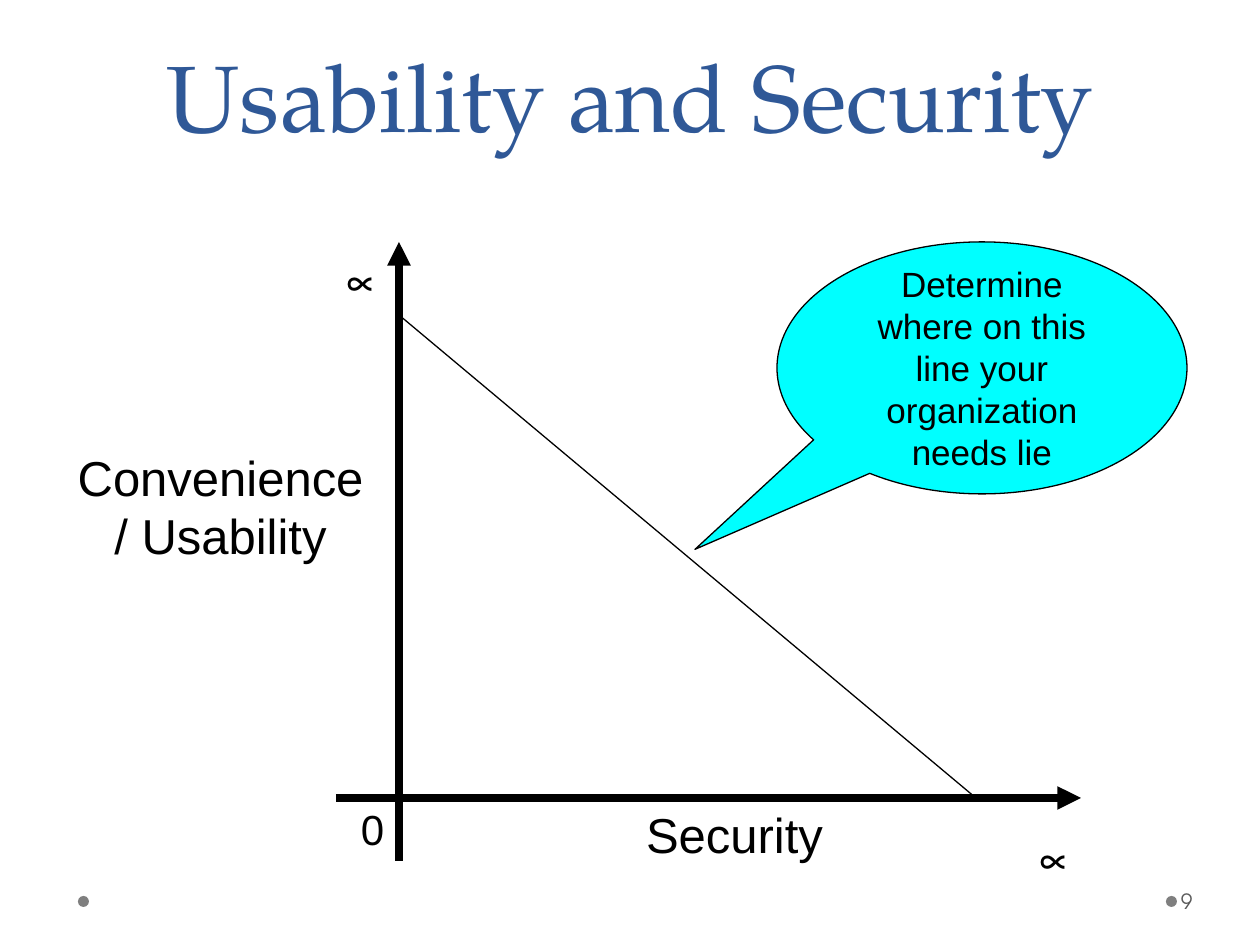
"""Build the Usability and Security trade-off slide."""
from lxml import etree
from pptx import Presentation
from pptx.dml.color import RGBColor
from pptx.enum.shapes import MSO_CONNECTOR, MSO_SHAPE
from pptx.enum.text import MSO_ANCHOR, PP_ALIGN
from pptx.oxml.ns import qn
from pptx.util import Emu, Pt

STRAIGHT = MSO_CONNECTOR.STRAIGHT
OVAL, CALLOUT = MSO_SHAPE.OVAL, MSO_SHAPE.OVAL_CALLOUT
TOP, MIDDLE, BOTTOM = MSO_ANCHOR.TOP, MSO_ANCHOR.MIDDLE, MSO_ANCHOR.BOTTOM
LEFT, CENTER = PP_ALIGN.LEFT, PP_ALIGN.CENTER

EMU_PER_PX = 914400 / 126
BLACK, GRAY, CYAN = "000000", "7F7F7F", "00FFFF"

ORIGIN = (399, 798)
DOTS = [(78, 896), (1166, 896)]
DOT_SIZE = 11
AXES = [
    ((ORIGIN[0], 861), (ORIGIN[0], 242)),
    ((336, ORIGIN[1]), (1081, ORIGIN[1])),
]
TRADE_OFF = ((ORIGIN[0], 315), (976, ORIGIN[1]))
LABELS = [
    ("Usability and Security", (63, -63, 1134, 220),
     dict(size=54, font="TeX Gyre Pagella", color="2F5897", anchor=BOTTOM, spacing=58)),
    ("9", (1177, 876, 77, 50),
     dict(size=12, font="TeX Gyre Adventor", color="595959", anchor=MIDDLE,
          align=LEFT, left_inset=4)),
    ("∝", (1018, 819, 94, 72), dict(align=LEFT)),
    ("∝", (325, 242, 94, 72), dict(align=LEFT)),
    ("Security", (514, 798, 441, 72), {}),
    ("Convenience / Usability", (63, 441, 315, 131), {}),
    ("0", (336, 798, 73, 63), dict(size=24)),
]
ADVICE = "Determine where on this line your organization needs lie"
ADVICE_BOX = (777, 242, 410, 252)
ADVICE_POINTER = (-0.7, 0.72)


def px(*lengths):
    return [Emu(round(length * EMU_PER_PX)) for length in lengths]


def rgb(color):
    return RGBColor.from_string(color)


def write(shape, text, size=28, font="Arial", color=BLACK, align=CENTER,
          anchor=TOP, spacing=None, left_inset=13):
    frame = shape.text_frame
    frame.word_wrap = True
    frame.vertical_anchor = anchor
    frame.margin_left, frame.margin_right = px(left_inset, 13)
    frame.margin_top, frame.margin_bottom = px(6, 6)
    paragraph = frame.paragraphs[0]
    paragraph.alignment = align
    if spacing:
        paragraph.line_spacing = Pt(spacing)
    run = paragraph.add_run()
    run.text = text
    run.font.size = Pt(size)
    run.font.name = font
    run.font.color.rgb = rgb(color)


def add_filled(slide, preset, box, fill, outline=None):
    shape = slide.shapes.add_shape(preset, *px(*box))
    shape.shadow.inherit = False
    shape.fill.solid()
    shape.fill.fore_color.rgb = rgb(fill)
    if outline:
        shape.line.color.rgb = rgb(outline)
        shape.line.width = Pt(0.75)
    else:
        shape.line.fill.background()
    return shape


def add_line(slide, start, end, width, arrow=False):
    connector = slide.shapes.add_connector(STRAIGHT, *px(*start, *end))
    connector.line.color.rgb = rgb(BLACK)
    connector.line.width = Pt(width)
    if arrow:
        outline = connector.line._get_or_add_ln()
        etree.SubElement(outline, qn("a:tailEnd"), type="triangle")
    etree.SubElement(connector._element.spPr, qn("a:effectLst"))


def main():
    deck = Presentation()
    deck.slide_width, deck.slide_height = px(1260, 945)
    slide = deck.slides.add_slide(deck.slide_layouts[6])

    for dot in DOTS:
        add_filled(slide, OVAL, (*dot, DOT_SIZE, DOT_SIZE), GRAY)
    for start, end in AXES:
        add_line(slide, start, end, 4.5, arrow=True)
    add_line(slide, *TRADE_OFF, 0.75)
    for text, box, style in LABELS:
        write(slide.shapes.add_textbox(*px(*box)), text, **style)

    callout = add_filled(slide, CALLOUT, ADVICE_BOX, CYAN, outline=BLACK)
    for index, offset in enumerate(ADVICE_POINTER):
        callout.adjustments[index] = offset
    write(callout, ADVICE, size=20, anchor=MIDDLE)

    deck.save("out.pptx")


if __name__ == "__main__":
    main()
